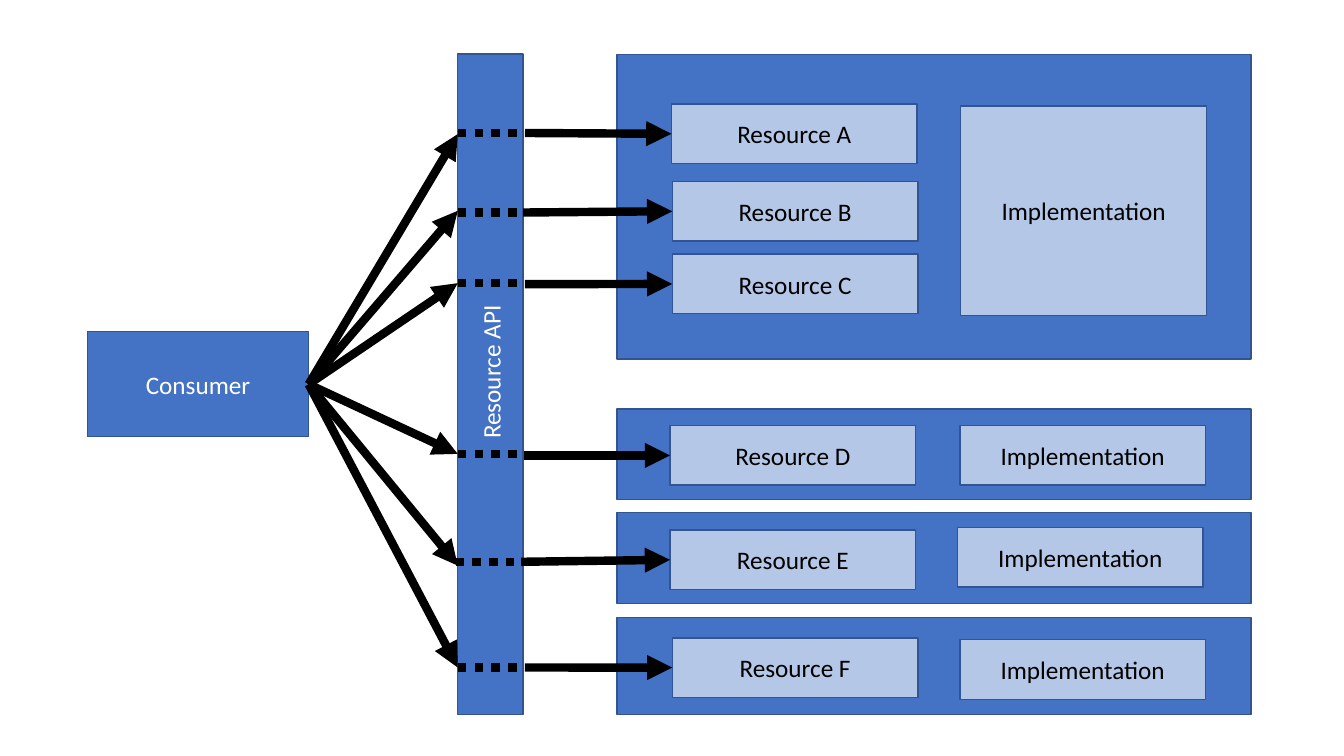
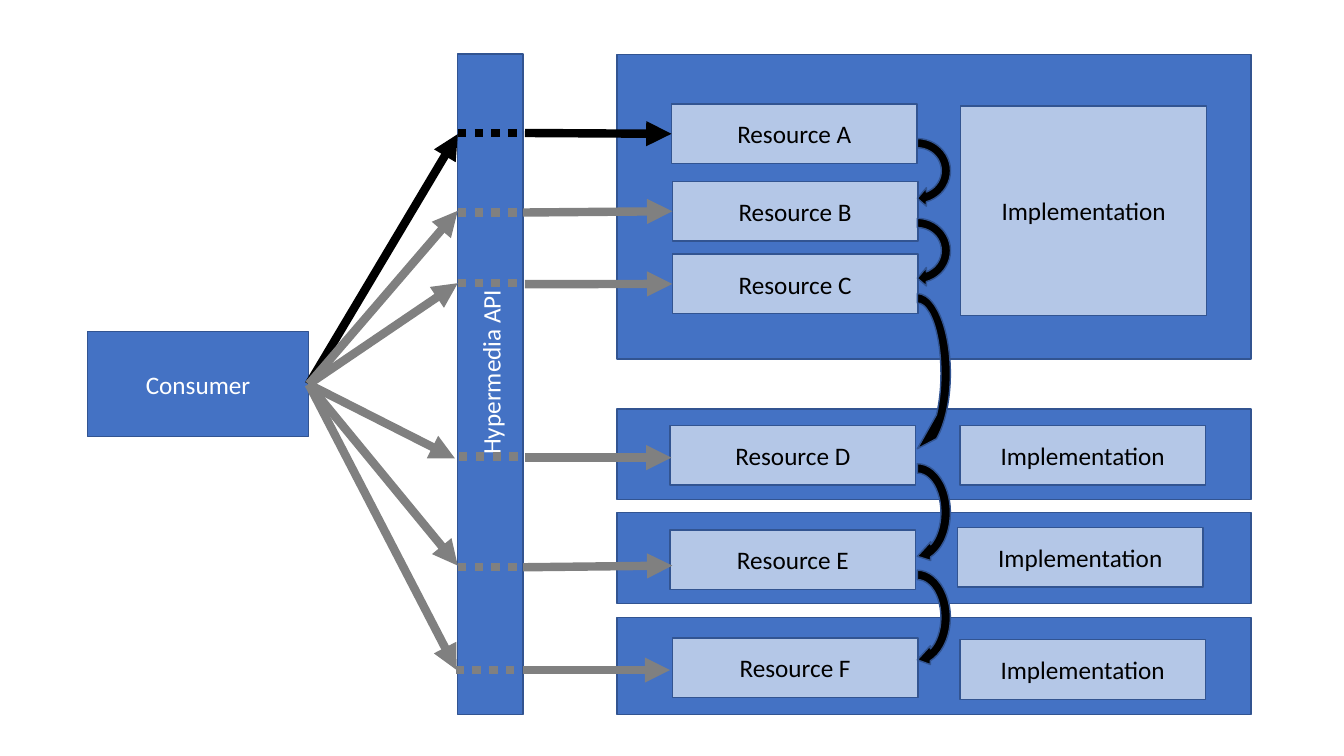
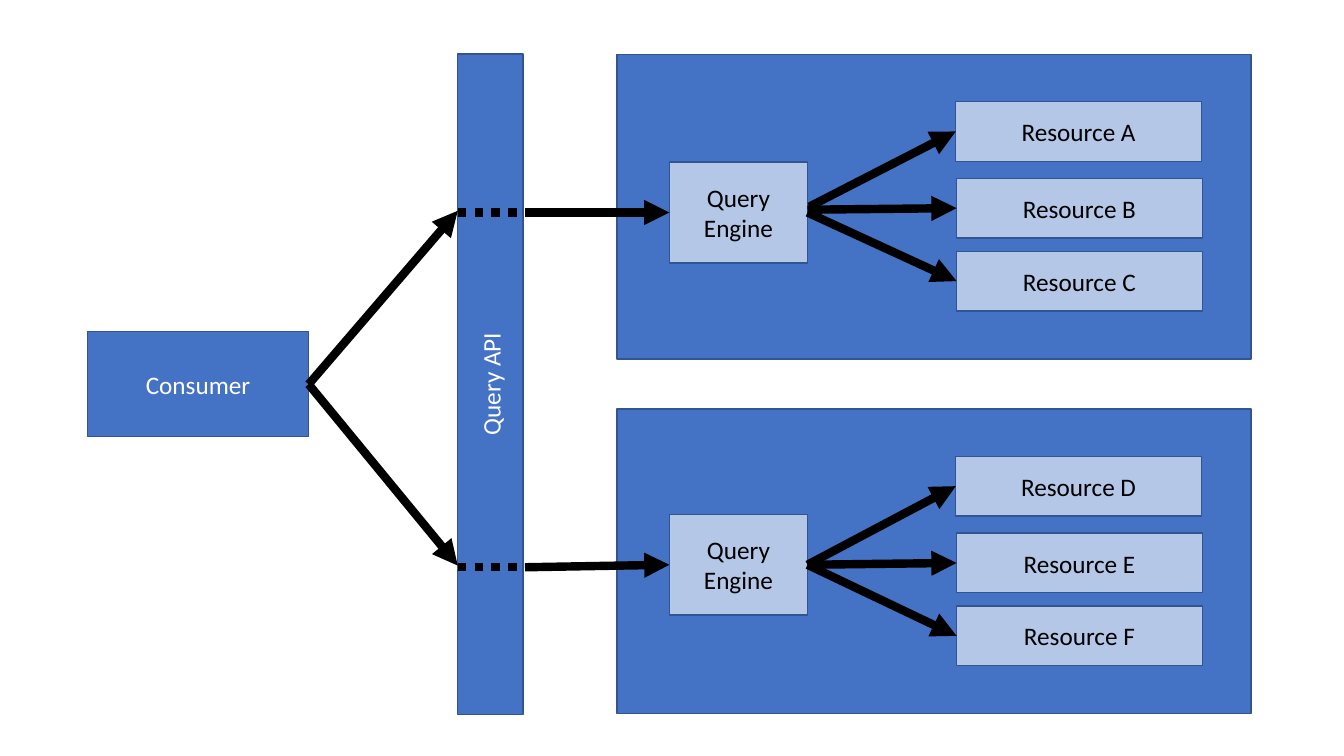
from dataclasses import dataclass, replace
from typing import Optional

from pptx import Presentation
from pptx.dml.color import RGBColor as RGB
from pptx.enum.dml import MSO_LINE as DASH
from pptx.enum.shapes import MSO_CONNECTOR as LINK, MSO_SHAPE as SHAPE
from pptx.enum.text import MSO_ANCHOR as ANCHOR, PP_ALIGN as ALIGN
from pptx.oxml.ns import qn
from pptx.oxml.xmlchemy import OxmlElement
from pptx.util import Pt


@dataclass(frozen=True)
class Theme:
    panel: RGB = RGB.from_string("4472C4")
    card: RGB = RGB.from_string("B4C7E7")
    border: RGB = RGB.from_string("325491")
    active: RGB = RGB.from_string("000000")
    inactive: RGB = RGB.from_string("808080")
    light_text: RGB = RGB.from_string("FFFFFF")
    dark_text: RGB = RGB.from_string("000000")
    font: str = "Calibri"
    text_size: float = 18
    border_width: float = 1
    flow_width: float = 6


@dataclass(frozen=True)
class Lane:
    y: float
    dots_x: float = 327
    call_x: float = 327
    call_y: Optional[float] = None
    leave_x: float = 375
    leave_y: Optional[float] = None
    stop: Optional[tuple] = None


THEME = Theme()
RIGHT, LEFT = 3, 1
CARD_W, CARD_H = 175.5, 42.6
PANEL_X, PANEL_W = 440.6, 453
TOP_PANEL, PANEL_H = 38.8, 217.6
LOWER_PANEL = 292.2
LABEL_SHIFT = 17

RESOURCES = {
    "A": (479.6, 74.3), "B": (480.2, 129.6), "C": (480.2, 181.5),
    "D": (478.6, 304), "E": (478.6, 378.6), "F": (480.2, 455.6),
}
IMPLEMENTATIONS = [
    (686.3, 75.8, 149.6), (685.6, 304, CARD_H),
    (683.9, 376.6, CARD_H), (685.6, 457, CARD_H),
]
SMALL_PANELS = [(LOWER_PANEL, 64.8), (366.3, 64.8), (441, 69.2)]

LANES = {
    "A": Lane(95, call_y=95.8),
    "B": Lane(151.8, call_y=150.6, leave_x=373.7),
    "C": Lane(202.3, leave_y=203),
}
RESOURCE_LANES = LANES | {
    "D": Lane(324.2, leave_x=374.4, leave_y=325.3),
    "E": Lane(401.3, dots_x=325.4, call_y=404, leave_x=372.2),
    "F": Lane(476.8),
}
HYPERMEDIA_LANES = LANES | {
    "D": Lane(326.2, dots_x=327.8, call_x=325, call_y=327.5,
              leave_y=326.9, stop=(479.6, 326.9)),
    "E": Lane(405.2, call_y=404, leave_x=373.7, stop=(480.2, 404)),
    "F": Lane(478.6, dots_x=325.4, call_x=326.2,
              leave_x=373.7, stop=(478.6, 478.6)),
}
HANDOVERS = [(122, 52.6), (179, 52.6), (366, 76.3), (441, 74.2), (266.8, 121)]


def write_text(shape, text, color=THEME.dark_text, size=THEME.text_size,
               align=ALIGN.CENTER, lead=0):
    frame = shape.text_frame
    frame.word_wrap = True
    frame.vertical_anchor = ANCHOR.MIDDLE
    frame.margin_left = Pt(7.2 + lead)
    paragraph = frame.paragraphs[0]
    paragraph.text = text
    paragraph.alignment = align
    paragraph.font.name = THEME.font
    paragraph.font.size = Pt(size)
    paragraph.font.color.rgb = color


def add_block(slide, x, y, w, h, fill, kind=SHAPE.RECTANGLE, turn=0):
    block = slide.shapes.add_shape(kind, Pt(x), Pt(y), Pt(w), Pt(h))
    block.shadow.inherit = False
    block.fill.solid()
    block.fill.fore_color.rgb = fill
    block.line.color.rgb = THEME.border
    block.line.width = Pt(THEME.border_width)
    block.rotation = turn
    return block


def add_card(slide, x, y, text, w=CARD_W, h=CARD_H):
    card = add_block(slide, x, y, w, h, THEME.card)
    write_text(card, text)
    return card


def add_panel(slide, y, h):
    add_block(slide, PANEL_X, y, PANEL_W, h, THEME.panel)


def add_flow(slide, start, end, color=THEME.active, source=None, target=None,
             dotted=False):
    flow = slide.shapes.add_connector(
        LINK.STRAIGHT, *(Pt(value) for value in (*start, *end)))
    if source is not None:
        flow.begin_connect(source, RIGHT)
    if target is not None:
        flow.end_connect(target, LEFT)
    flow.line.color.rgb = color
    flow.line.width = Pt(THEME.flow_width)
    properties = flow.element.spPr
    if dotted:
        flow.line.dash_style = DASH.ROUND_DOT
    else:
        head = OxmlElement("a:tailEnd")
        head.set("type", "triangle")
        properties.find(qn("a:ln")).append(head)
    properties.append(OxmlElement("a:effectLst"))


def add_consumer(slide):
    consumer = add_block(slide, 62.5, 237, 158, 75, THEME.panel)
    write_text(consumer, "Consumer", color=THEME.light_text)
    return consumer


def add_api(slide, name, lead=0):
    api = add_block(slide, 114.5, 251, 471.6, 46.8, THEME.panel, turn=270)
    write_text(api, name, color=THEME.light_text, lead=lead)


def add_backend(slide):
    for y, h in [(TOP_PANEL, PANEL_H), *SMALL_PANELS]:
        add_panel(slide, y, h)
    for x, y, h in IMPLEMENTATIONS:
        add_card(slide, x, y, "Implementation", h=h)
    return {letter: add_card(slide, x, y, f"Resource {letter}")
            for letter, (x, y) in RESOURCES.items()}


def add_lane(slide, lane, consumer, target, color=THEME.active):
    leave_y = lane.leave_y or lane.y
    stop = lane.stop or (480, leave_y)
    add_flow(slide, (lane.leave_x, leave_y), stop, color,
             target=None if lane.stop else target)
    add_flow(slide, (lane.dots_x, lane.y), (lane.dots_x + 48, lane.y), color,
             dotted=True)
    add_flow(slide, (220.5, 274.5), (lane.call_x, lane.call_y or lane.y), color,
             source=consumer)


def add_handover(slide, center_y, span, center_x=655.2, depth=54):
    add_block(slide, center_x - span / 2, center_y - depth / 2, span, depth,
              THEME.active, SHAPE.CIRCULAR_ARROW, turn=90)


def build_resource_slide(slide):
    resources = add_backend(slide)
    add_api(slide, "Resource API", lead=LABEL_SHIFT)
    consumer = add_consumer(slide)
    for letter, lane in RESOURCE_LANES.items():
        add_lane(slide, lane, consumer, resources[letter])


def build_hypermedia_slide(slide):
    resources = add_backend(slide)
    add_api(slide, "Hypermedia API", lead=LABEL_SHIFT)
    consumer = add_consumer(slide)
    for letter, lane in HYPERMEDIA_LANES.items():
        color = THEME.active if letter == "A" else THEME.inactive
        add_lane(slide, lane, consumer, resources[letter], color)
    for center_y, span in HANDOVERS:
        add_handover(slide, center_y, span)


def add_query_group(slide, panel_y, engine_y, letters, starts):
    add_panel(slide, panel_y, PANEL_H)
    engine = add_card(slide, 478.2, engine_y, "Query Engine", w=98.6, h=72)
    offsets = [(682.7, 33.8), (683.3, 88.6), (683.3, 140.7)]
    for letter, (x, dy), start in zip(letters, offsets, starts):
        resource = add_card(slide, x, panel_y + dy, f"Resource {letter}")
        add_flow(slide, start or (576.8, engine_y + 36), (x, panel_y + dy),
                 source=None if start else engine, target=resource)
    return engine


def build_query_slide(slide):
    add_api(slide, "Query API")
    consumer = add_consumer(slide)
    groups = [
        (TOP_PANEL, 115.8, "ABC", [(578.2, 147.6), (576.8, 149.8), None],
         LANES["B"]),
        (LOWER_PANEL, 367.4, "DEF", [None] * 3, HYPERMEDIA_LANES["E"]),
    ]
    for panel_y, engine_y, letters, starts, lane in groups:
        engine = add_query_group(slide, panel_y, engine_y, letters, starts)
        add_lane(slide, replace(lane, leave_x=375, stop=None), consumer, engine)


def main():
    deck = Presentation()
    deck.slide_width, deck.slide_height = Pt(960), Pt(540)
    blank = deck.slide_layouts[6]
    for build in (build_resource_slide, build_hypermedia_slide, build_query_slide):
        build(deck.slides.add_slide(blank))
    deck.save("out.pptx")


if __name__ == "__main__":
    main()
